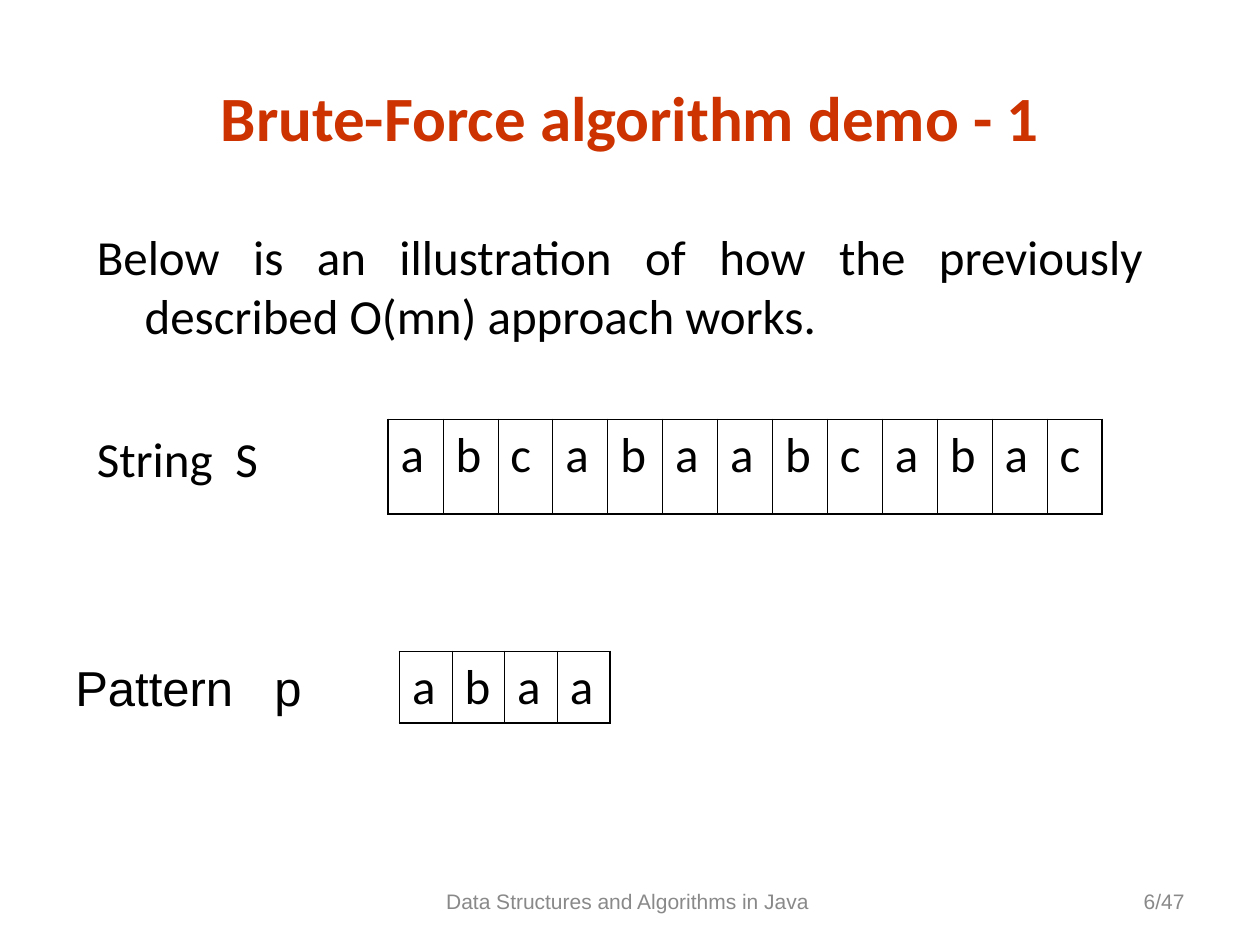
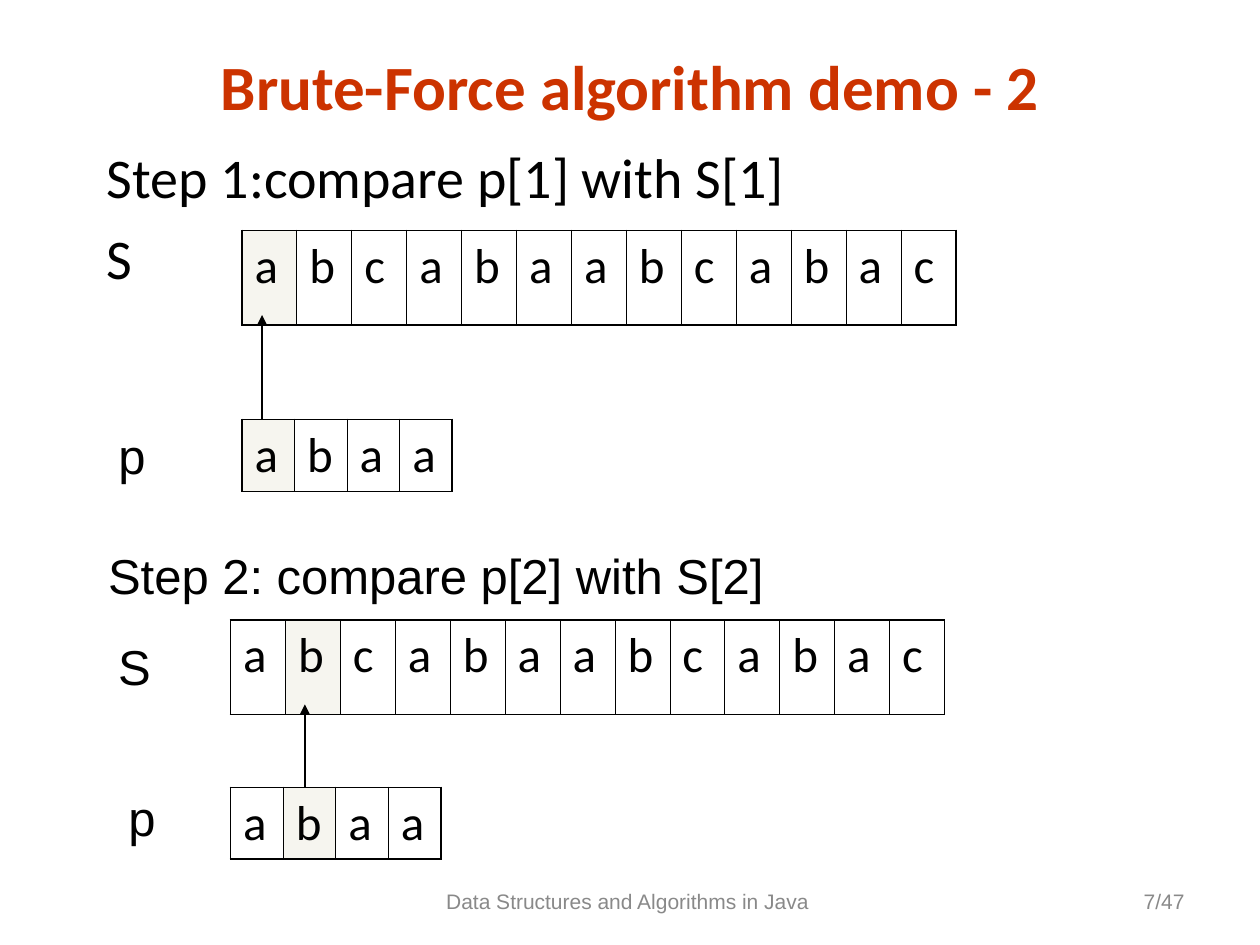
import pptx
import pptx.dml.color
import pptx.enum.shapes
import pptx.enum.text
import pptx.oxml.ns
import pptx.util
import lxml.etree

Inches, Pt = pptx.util.Inches, pptx.util.Pt
PP_ALIGN, MSO_ANCHOR = pptx.enum.text.PP_ALIGN, pptx.enum.text.MSO_ANCHOR
color = pptx.dml.color.RGBColor.from_string
qn = pptx.oxml.ns.qn

BLACK, TITLE_RED, GREY, MARK = "000000", "CC3300", "898989", "EEECE1"
STRING, PATTERN = "abcabaabcabac", "abaa"
FOOTER = "Data Structures and Algorithms in Java "


def add_text(s, text, box, size=28, font="Arial", hex_color=BLACK,
             align=PP_ALIGN.LEFT, wrap=True, tab=None):
    """Add a text box, one paragraph per line of text; tab is a stop in inches."""
    tf = s.shapes.add_textbox(*map(Inches, box)).text_frame
    tf.word_wrap = wrap
    tf.text = text
    for p in tf.paragraphs:
        p.alignment = align
        p.font.size, p.font.name = Pt(size), font
        p.font.color.rgb = color(hex_color)
        if tab:
            tabs = lxml.etree.Element(qn("a:tabLst"))
            lxml.etree.SubElement(tabs, qn("a:tab"), pos=str(Inches(tab)), algn="l")
            p._p.pPr.find(qn("a:defRPr")).addprevious(tabs)
    return tf


def add_array(s, letters, left, top, width, height, marked=None):
    """Draw letters as a one-row table, shading the cell at index marked."""
    n = len(letters)
    table = s.shapes.add_table(1, n, *map(Inches, (left, top, width, height))).table
    table.first_row = table.horz_banding = False
    for i, letter in enumerate(letters):
        table.columns[i].width = Inches(width / n)
        cell = table.cell(0, i)
        cell.text = letter
        p = cell.text_frame.paragraphs[0]
        p.space_before = Pt(7)
        p.font.size, p.font.name = Pt(28), "Calibri"
        p.font.color.rgb = color(BLACK)
        tcPr = cell._tc.get_or_add_tcPr()
        if i == marked:
            cell.fill.solid()
            cell.fill.fore_color.rgb = color(MARK)
            lxml.etree.SubElement(tcPr.find(".//" + qn("a:srgbClr")), qn("a:alpha"), val="50000")
        else:
            cell.fill.background()
        outer = {"L": i == 0, "R": i == n - 1, "T": True, "B": True}
        for k, (side, is_outer) in enumerate(outer.items()):
            ln = lxml.etree.Element(qn("a:ln" + side), w=str(Pt(1.08 if is_outer else 0.45)))
            fill = lxml.etree.SubElement(ln, qn("a:solidFill"))
            lxml.etree.SubElement(fill, qn("a:srgbClr"), val=BLACK)
            tcPr.insert(k, ln)


prs = pptx.Presentation()
prs.slide_width, prs.slide_height = Inches(10), Inches(7.5)

# Shared title and footer
for number, title_top in ((1, 0.57), (2, 0.33)):
    s = prs.slides.add_slide(prs.slide_layouts[5])
    title = s.shapes.title
    title.left, title.top, title.width, title.height = map(Inches, (0.5, title_top, 9, 0.7))
    title.text_frame.text = f"Brute-Force algorithm demo - {number}"
    title.text_frame.vertical_anchor = MSO_ANCHOR.MIDDLE
    p = title.text_frame.paragraphs[0]
    p.alignment = PP_ALIGN.CENTER
    p.font.size, p.font.name, p.font.bold = Pt(36), "Calibri", True
    p.font.color.rgb = color(TITLE_RED)
    for text, left, width, align in ((FOOTER, 3.42, 3.17, PP_ALIGN.CENTER),
                                     (f"{number + 5}/47", 7.17, 2.33, PP_ALIGN.RIGHT)):
        tf = add_text(s, text, (left, 6.95, width, 0.4), 12, hex_color=GREY, align=align)
        tf.vertical_anchor = MSO_ANCHOR.MIDDLE

# Slide 1: the string and the pattern
s = prs.slides[0]
tf = add_text(s, "Below is an illustration of how the previously described O(mn) approach works.",
              (0.67, 1.75, 8.5, 1.1), font="Calibri", align=PP_ALIGN.JUSTIFY)
pPr = tf.paragraphs[0]._p.pPr
pPr.set("marL", str(Inches(0.38)))
pPr.set("indent", str(-Inches(0.38)))
add_text(s, "String\tS", (0.67, 3.35, 2.2, 0.57), font="Calibri", tab=1.1)
add_array(s, STRING, 3.08, 3.33, 5.67, 0.75)
add_text(s, "Pattern\tp", (0.5, 5.17, 2.2, 0.57), tab=1.58)
add_array(s, PATTERN, 3.17, 5.17, 1.67, 0.57)

# Slide 2: the first two comparisons
s = prs.slides[1]
tf = add_text(s, "Step 1:compare p[1] with S[1]\nS", (0.75, 1.08, 8.58, 1.3), 32, "Calibri")
for p in tf.paragraphs:
    p.space_before = Pt(8)
for text, left, top, width in (("p", 0.84, 3.33, 0.41),
                               ("Step 2: compare p[2] with S[2]", 0.76, 4.28, 5.4),
                               ("S", 0.84, 5, 0.46),
                               ("p", 0.92, 6.2, 0.41)):
    add_text(s, text, (left, top, width, 0.57), wrap=False)

for marked, left, string_top, pattern_top, arrow_x in ((0, 1.92, 1.83, 3.33, 2.08),
                                                       (1, 1.83, 4.92, 6.25, 2.42)):
    add_array(s, STRING, left, string_top, 5.67, 0.75, marked)
    add_array(s, PATTERN, left, pattern_top, 1.67, 0.57, marked)
    arrow = s.shapes.add_connector(
        pptx.enum.shapes.MSO_CONNECTOR.STRAIGHT,
        *map(Inches, (arrow_x, pattern_top, arrow_x, string_top + 0.67)))
    arrow.line.width = Pt(0.75)
    arrow.line.color.rgb = color(BLACK)
    lxml.etree.SubElement(arrow.line._get_or_add_ln(), qn("a:tailEnd"), type="triangle")
    lxml.etree.SubElement(arrow._element.spPr, qn("a:effectLst"))

prs.save("out.pptx")
